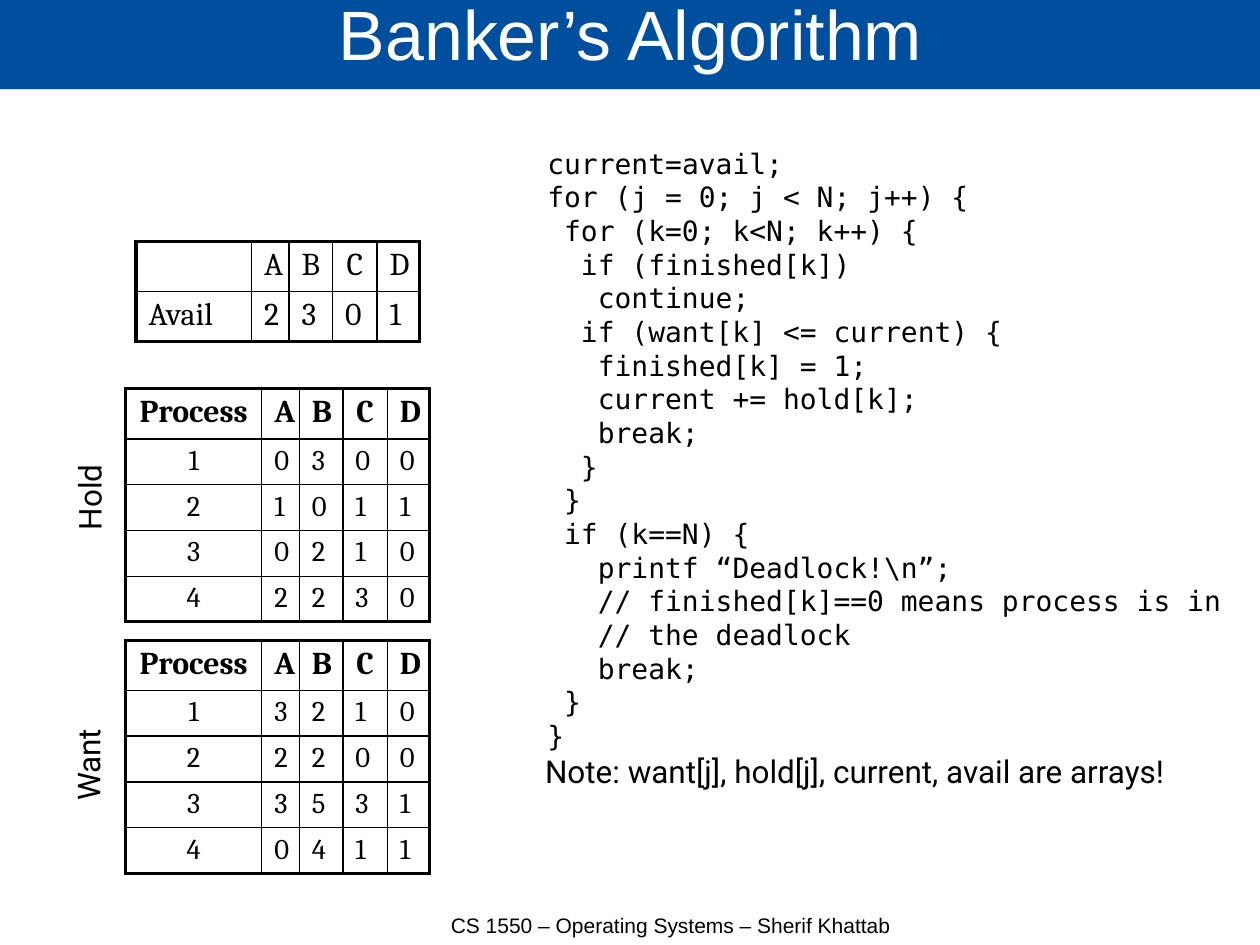
"""Build the Banker's Algorithm slide."""
import lxml.etree
import pptx
import pptx.dml.color
import pptx.enum.text
import pptx.oxml.ns
import pptx.util

Inches = pptx.util.Inches
Pt = pptx.util.Pt
Align = pptx.enum.text.PP_ALIGN
Anchor = pptx.enum.text.MSO_ANCHOR
AutoSize = pptx.enum.text.MSO_AUTO_SIZE

BLUE = pptx.dml.color.RGBColor(0x00, 0x4F, 0x9E)
WHITE = pptx.dml.color.RGBColor(0xFF, 0xFF, 0xFF)
BLACK = pptx.dml.color.RGBColor(0x00, 0x00, 0x00)

PAGE_WIDTH, PAGE_HEIGHT = Inches(28 / 2.54), Inches(21 / 2.54)
THIN, THICK = 1, 2.25
CODE_SIZE = 17.6
CODE_STEP = Pt(10.6)
RESOURCE_WIDTHS = [0.33, 0.38, 0.39, 0.37]

AVAIL = [["", "A", "B", "C", "D"], ["Avail", "2", "3", "0", "1"]]
PROCESS_HEADER = ["Process", "A", "B", "C", "D"]
HOLD = [PROCESS_HEADER, *map(list, ["10300", "21011", "30210", "42230"])]
WANT = [PROCESS_HEADER, *map(list, ["13210", "22200", "33531", "40411"])]

CODE = [
    (0, "current=avail;"),
    (0, "for (j = 0; j < N; j++) {"),
    (1, "for (k=0; k<N; k++) {"),
    (2, "if (finished[k])"),
    (3, "continue;"),
    (2, "if (want[k] <= current) {"),
    (3, "finished[k] = 1;"),
    (3, "current += hold[k];"),
    (3, "break;"),
    (2, "}"),
    (1, "}"),
    (1, "if (k==N) {"),
    (3, "printf “Deadlock!\\n”;"),
    (3, "// finished[k]==0 means process is in"),
    (3, "// the deadlock"),
    (3, "break;"),
    (1, "}"),
    (0, "}"),
]


def style_paragraph(para, font, size, color=BLACK, align=Align.LEFT, bold=False):
    """Set the font and alignment of one paragraph."""
    para.alignment = align
    para.font.name = font
    para.font.size = Pt(size)
    para.font.color.rgb = color
    para.font.bold = bold


def add_title(page, text):
    """Turn the title placeholder into the blue bar across the top."""
    title = page.shapes.title
    title.left, title.top = Inches(0), Inches(-0.02)
    title.width, title.height = Inches(11.04), Inches(0.8)
    title.fill.solid()
    title.fill.fore_color.rgb = BLUE
    frame = title.text_frame
    frame.text = text
    frame.auto_size = AutoSize.NONE
    frame.vertical_anchor = Anchor.MIDDLE
    frame.margin_left = frame.margin_right = Inches(0)
    frame.margin_top = frame.margin_bottom = Inches(0)
    para = frame.paragraphs[0]
    para.line_spacing = 0.69
    style_paragraph(para, "Arial", 44, WHITE, Align.CENTER)


def add_box(page, left, top, width, height, wrap=True):
    """Add an empty text box."""
    box = page.shapes.add_textbox(
        Inches(left), Inches(top), Inches(width), Inches(height))
    box.text_frame.word_wrap = wrap
    return box


def add_label(page, text, left, top, width, rotation=0):
    """Add a one-line label that fits its text."""
    box = add_box(page, left, top, width, 0.43, wrap=False)
    box.rotation = rotation
    box.text_frame.auto_size = AutoSize.SHAPE_TO_FIT_TEXT
    para = box.text_frame.paragraphs[0]
    para.text = text
    style_paragraph(para, "Roboto", 19.8)


def add_footer(page, text):
    """Add the centred course line at the bottom."""
    box = add_box(page, 3.07, 7.7, 5.59, 0.55)
    box.text_frame.vertical_anchor = Anchor.BOTTOM
    para = box.text_frame.paragraphs[0]
    para.text = text
    style_paragraph(para, "Arial", 13.2, align=Align.CENTER)


def add_code(page, lines):
    """Add the code listing, one indented paragraph per line."""
    frame = add_box(page, 4.69, 1.23, 6.34, 5.45).text_frame
    for number, (depth, text) in enumerate(lines):
        para = frame.add_paragraph() if number else frame.paragraphs[0]
        para.text = text
        para.line_spacing = Pt(21.2)
        style_paragraph(para, "DejaVu Sans Mono", CODE_SIZE)
        para._p.get_or_add_pPr().set("marL", str(depth * CODE_STEP))


def set_borders(cell, widths):
    """Draw the cell borders, given as side and width in points."""
    qn = pptx.oxml.ns.qn
    properties = cell._tc.get_or_add_tcPr()
    for side, width in widths.items():
        line = lxml.etree.SubElement(
            properties, qn(f"a:ln{side}"), w=str(Pt(width)))
        fill = lxml.etree.SubElement(line, qn("a:solidFill"))
        lxml.etree.SubElement(fill, qn("a:srgbClr"), val=str(BLACK))


def add_resource_table(page, rows, left, top, first_width, body_height,
                       body_size, bold_header):
    """Add a resource table with a thick frame and thin inner lines."""
    widths = [first_width, *RESOURCE_WIDTHS]
    heights = [0.44] + [body_height] * (len(rows) - 1)
    table = page.shapes.add_table(
        len(rows), len(widths), Inches(left), Inches(top),
        Inches(sum(widths)), Inches(sum(heights))).table
    table.first_row = table.horz_banding = False
    for column, width in zip(table.columns, widths):
        column.width = Inches(width)
    for row, height in zip(table.rows, heights):
        row.height = Inches(height)
    last_row, last_column = len(rows) - 1, len(widths) - 1
    for i, values in enumerate(rows):
        for j, value in enumerate(values):
            cell = table.cell(i, j)
            cell.margin_left = cell.margin_right = Inches(0.11)
            cell.margin_top = cell.margin_bottom = Inches(0.05)
            set_borders(cell, {
                "L": THICK if j == 0 else THIN,
                "R": THICK if j == last_column else THIN,
                "T": THICK if i == 0 else THIN,
                "B": THICK if i == last_row else THIN,
            })
            cell.fill.background()
            para = cell.text_frame.paragraphs[0]
            para.text = value
            centred = i == 0 or (j == 0 and value.isdigit())
            style_paragraph(
                para, "Cambria", body_size if i else 20,
                align=Align.CENTER if centred else Align.LEFT,
                bold=bold_header and i == 0)


def main():
    """Build and save the deck."""
    deck = pptx.Presentation()
    deck.slide_width, deck.slide_height = PAGE_WIDTH, PAGE_HEIGHT
    page = deck.slides.add_slide(deck.slide_layouts.get_by_name("Title Only"))
    add_title(page, "Banker’s Algorithm")
    add_footer(page, "CS 1550 – Operating Systems – Sherif Khattab")
    add_resource_table(page, AVAIL, 1.19, 2.11, 1.01, 0.44, 20, False)
    for rows, top in ((HOLD, 3.4), (WANT, 5.6)):
        add_resource_table(page, rows, 1.1, top, 1.19, 0.4, 18, True)
    add_label(page, "Hold", 0.38, 4.12, 0.8, rotation=270)
    add_label(page, "Want", 0.35, 6.47, 0.84, rotation=270)
    add_code(page, CODE)
    add_label(page, "Note: want[j], hold[j], current, avail are arrays!",
              4.67, 6.53, 5.79)
    deck.save("out.pptx")


if __name__ == "__main__":
    main()
